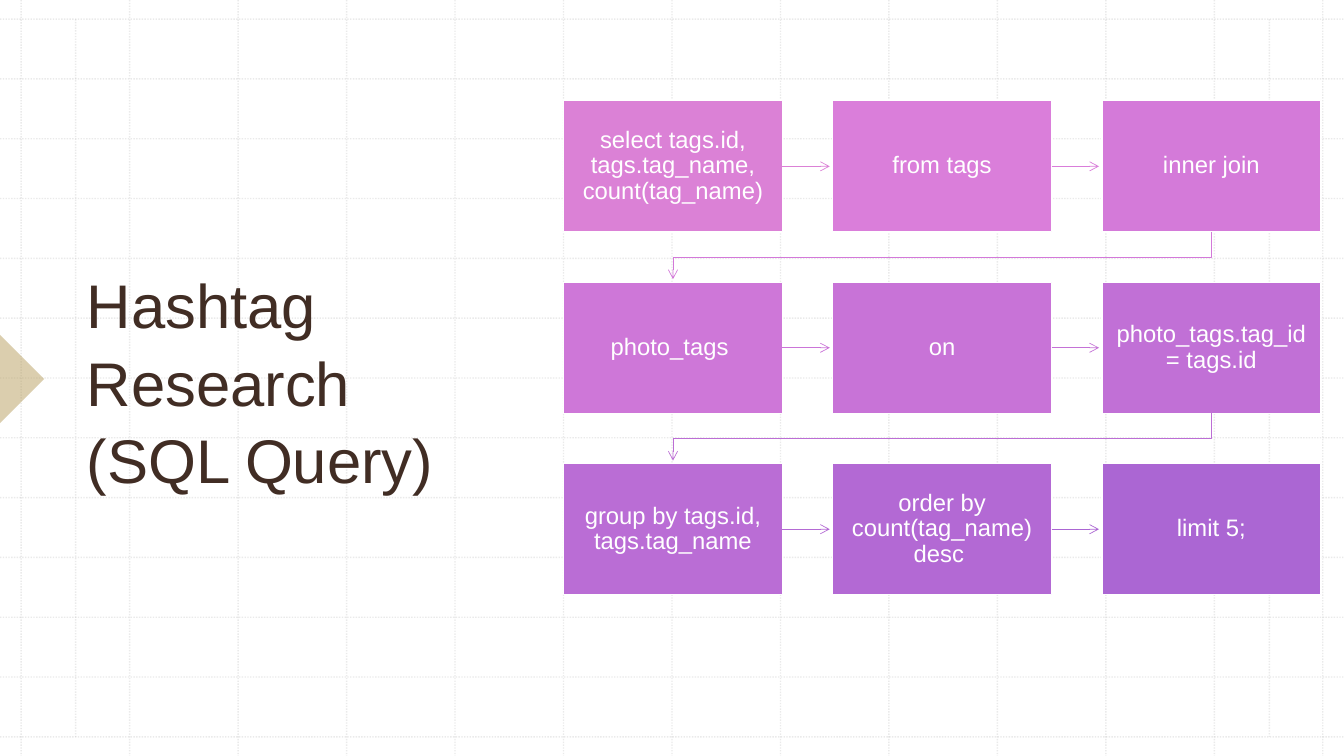
from dataclasses import dataclass

from lxml import etree
from pptx import Presentation
from pptx.dml.color import RGBColor
from pptx.enum.dml import MSO_LINE
from pptx.enum.shapes import MSO_CONNECTOR, MSO_SHAPE
from pptx.enum.text import MSO_ANCHOR, PP_ALIGN
from pptx.oxml.ns import qn
from pptx.util import Inches, Pt

STRAIGHT = MSO_CONNECTOR.STRAIGHT
RECTANGLE, TRIANGLE = MSO_SHAPE.RECTANGLE, MSO_SHAPE.RIGHT_TRIANGLE
MIDDLE, CENTER = MSO_ANCHOR.MIDDLE, PP_ALIGN.CENTER
DOTTED = MSO_LINE.ROUND_DOT
RIGHT_SIDE = 3


@dataclass(frozen=True)
class Theme:
    font: str = "Arial"
    title_size: float = 44
    step_size: float = 17
    white: str = "FFFFFF"
    title: str = "412D24"
    grid: str = "BCBCBC"
    marker: str = "B89F5F"


THEME = Theme()
SLIDE_WIDTH, SLIDE_HEIGHT = 13.33, 7.5

# Text, box colour and colour of the arrow to the next step
STEPS = [
    ("select tags.id, tags.tag_name, count(tag_name)", "DB81D6", "DB81D6"),
    ("from tags", "DA7EDA", "D97DDA"),
    ("inner join", "D47AD9", "D379D9"),
    ("photo_tags ", "CE77D8", "CB75D8"),
    ("on", "C873D7", "C472D6"),
    ("photo_tags.tag_id = tags.id", "C170D6", "BC6ED5"),
    ("group by tags.id, tags.tag_name", "BA6DD5", "B46AD4"),
    ("order by count(tag_name) desc ", "B369D4", "AB66D3"),
    ("limit 5;", "AB66D3", None),
]


def color(value):
    return RGBColor.from_string(value)


def set_opacity(shape, percent):
    """Make the single colour of a shape or line see-through."""
    srgb = shape.element.spPr.find(".//" + qn("a:srgbClr"))
    etree.SubElement(srgb, qn("a:alpha"), val=str(percent * 1000))


def add_line(page, start, end, line_color, width):
    line = page.shapes.add_connector(STRAIGHT, *map(Inches, start + end))
    line.line.color.rgb = color(line_color)
    line.line.width = Pt(width)
    etree.SubElement(line.element.spPr, qn("a:effectLst"))
    return line


def add_arrowhead(shape):
    etree.SubElement(shape.line._get_or_add_ln(), qn("a:tailEnd"), type="arrow")


def format_text(frame, text, size, text_color):
    frame.word_wrap = True
    frame.vertical_anchor = MIDDLE
    frame.text = text
    para = frame.paragraphs[0]
    font = para.runs[0].font
    font.name, font.size = THEME.font, Pt(size)
    font.color.rgb = color(text_color)
    return para


def draw_grid(page, left, top, width, height):
    """Draw lines across the slide, 12 steps each way within the box."""
    lines = []
    for index in range(13):
        x = left + index * width / 12
        y = top + index * height / 12
        lines.append(((x, 0), (x, SLIDE_HEIGHT)))
        lines.append(((0, y), (SLIDE_WIDTH, y)))
    for x in (left + 0.54, left + width - 0.53):
        lines.append(((x, top), (x, top + height)))
    for start, end in lines:
        line = add_line(page, start, end, THEME.grid, 1)
        line.line.dash_style = DOTTED
        set_opacity(line, 30)


def draw_marker(page, left, top, size):
    marker = page.shapes.add_shape(
        TRIANGLE, Inches(left), Inches(top), Inches(size), Inches(size))
    marker.rotation = 225
    marker.shadow.inherit = False
    marker.fill.solid()
    marker.fill.fore_color.rgb = color(THEME.marker)
    marker.line.fill.background()
    set_opacity(marker, 50)


def draw_title(page, left, top, width, height):
    box = page.shapes.add_textbox(*map(Inches, (left, top, width, height)))
    para = format_text(box.text_frame, "Hashtag Research (SQL Query)",
                       THEME.title_size, THEME.title)
    para.line_spacing = 1.05


def draw_step(page, left, top, width, height, text, fill):
    step = page.shapes.add_shape(
        RECTANGLE, *map(Inches, (left, top, width, height)))
    step.shadow.inherit = False
    step.fill.solid()
    step.fill.fore_color.rgb = color(fill)
    step.line.color.rgb = color(THEME.white)
    step.line.width = Pt(1)
    frame = step.text_frame
    frame.margin_left = frame.margin_right = Inches(0.11)
    frame.margin_top = frame.margin_bottom = Inches(0.11)
    para = format_text(frame, text, THEME.step_size, THEME.white)
    para.alignment = CENTER
    para.line_spacing = 0.9
    return step


def draw_return_arrow(page, start, end, line_color):
    """Lead from the end of one row down to the start of the next."""
    turn = start[1] + 0.25
    points = [start, (start[0], turn), (end[0], turn), end]
    points = [tuple(map(Inches, point)) for point in points]
    builder = page.shapes.build_freeform(*points[0])
    builder.add_line_segments(points[1:], close=False)
    arrow = builder.convert_to_shape()
    arrow.shadow.inherit = False
    arrow.fill.background()
    arrow.line.color.rgb = color(line_color)
    arrow.line.width = Pt(0.5)
    add_arrowhead(arrow)


def draw_flow(page, left, top, width, height):
    """Place the query steps in three rows of three, joined by arrows."""
    step_width, step_height = 2.17, 1.3
    pitch_x = (width - step_width) / 2
    pitch_y = (height - step_height) / 2
    arrow_gap = 0.03
    for index, (text, fill, arrow_color) in enumerate(STEPS):
        row, column = divmod(index, 3)
        x, y = left + column * pitch_x, top + row * pitch_y
        step = draw_step(page, x, y, step_width, step_height, text, fill)
        if arrow_color is None:
            continue
        if column < 2:
            middle = y + step_height / 2
            arrow = add_line(page, (x + step_width, middle),
                             (x + pitch_x - arrow_gap, middle),
                             arrow_color, 0.5)
            arrow.begin_connect(step, RIGHT_SIDE)
            add_arrowhead(arrow)
        else:
            draw_return_arrow(
                page, (x + step_width / 2, y + step_height),
                (left + step_width / 2, y + pitch_y - arrow_gap), arrow_color)


def main():
    deck = Presentation()
    deck.slide_width, deck.slide_height = Inches(SLIDE_WIDTH), Inches(SLIDE_HEIGHT)
    page = deck.slides.add_slide(deck.slide_layouts[6])
    page.background.fill.solid()
    page.background.fill.fore_color.rgb = color(THEME.white)
    draw_grid(page, 0.21, 0.19, 12.91, 7.12)
    draw_marker(page, -0.31, 3.45, 0.62)
    draw_title(page, 0.76, 0.79, 3.75, 5.95)
    draw_flow(page, 5.59, 1, 7.51, 4.9)
    deck.save("out.pptx")


if __name__ == "__main__":
    main()
